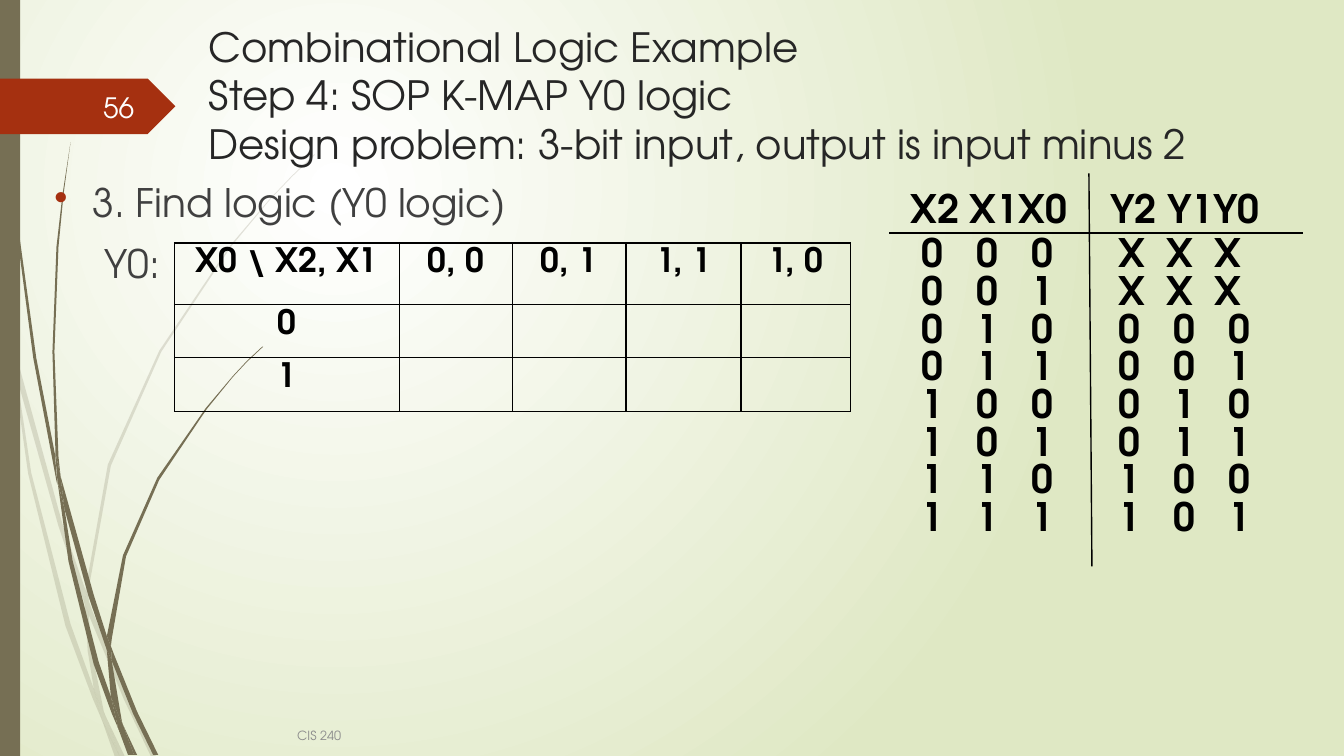
import pptx
import pptx.dml.color
import pptx.enum.shapes
import pptx.enum.text
import pptx.oxml
import pptx.oxml.ns
import pptx.util

inch = pptx.util.Inches
point = pptx.util.Pt
align = pptx.enum.text.PP_ALIGN
anchor = pptx.enum.text.MSO_ANCHOR
preset = pptx.enum.shapes.MSO_SHAPE
qn = pptx.oxml.ns.qn
space = pptx.oxml.ns.nsdecls("a")
FONT = "TeX Gyre Adventor"
OLIVE, RUST, BLACK = "766F54", "A53010", "000000"


def hue(code):
    return pptx.dml.color.RGBColor.from_string(code)


def write(par, text, size, tone, bold=False):
    """Add one formatted run to a paragraph."""
    run = par.add_run()
    run.text = text
    run.font.name = FONT
    run.font.size = point(size)
    run.font.bold = bold
    run.font.color.rgb = hue(tone)


deck = pptx.Presentation()
deck.slide_width, deck.slide_height = inch(13.33), inch(7.5)
page = deck.slides.add_slide(deck.slide_layouts[5])

# Background: light centre in the upper left
fill = page.background.fill
fill.gradient()
for stop, tone in zip(fill.gradient_stops, ("FFFFFF", "DFE8C4")):
    stop.color.rgb = hue(tone)
grad = page._element.find(".//" + qn("a:gradFill"))
grad.remove(grad.find(qn("a:lin")))
grad.append(pptx.oxml.parse_xml(
    f'<a:path {space} path="circle"><a:fillToRect l="50000" t="50000" '
    'r="100000" b="100000"/></a:path>'))

# Grass blades: outlines in hundredths of an inch
pale = (
    "11,350 9,322 0,282 0,299 10,344",
    "58,522 84,599 85,586 62,520 14,345 17,376",
    "92,607 88,596 88,610 123,694 150,751 155,751 127,692",
    "119,751 124,751 105,711",
    "93,683 70,619 31,469 17,376 11,350 28,470 65,621 92,693 101,714 99,707",
    "84,599 87,646 93,683 96,692 105,711 103,706 91,646 88,610 88,608",
    "88,584 110,462 160,349 229,245 268,198 290,175 312,154 312,153 289,175 "
    "268,197 228,244 158,348 107,461 85,584 85,586 88,596",
    "101,714 114,751 119,751",
    "88,608 88,610 88,596 85,586 84,599",
    "96,692 93,683 99,707 101,714 119,751 105,711",
)
dark = (
    "7,110 17,233 33,355 56,477 57,481 55,457 55,453 36,355 19,232 8,109 "
    "5,48 4,0 3,0 4,48",
    "88,592 106,645 106,633 106,631 93,590 60,472 64,505",
    "113,649 110,641 111,656 132,708 152,749 157,749 136,706",
    "110,691 98,657 72,556 64,505 57,477 68,557 93,659 111,708 117,722 116,717",
    "60,472 58,453 54,349 58,245 63,193 70,141 62,193 56,245 52,349 55,449",
    "133,749 136,749 122,719",
    "57,477 64,505 60,472 55,449 55,453",
    "111,633 125,552 158,476 205,406 231,374 245,359 261,344 260,344 245,358 "
    "231,373 204,405 156,474 122,551 106,631 110,641",
    "117,722 127,749 131,749",
    "106,645 110,691 116,706 122,719 121,716 111,656 109,651",
    "106,645 109,651 111,656 110,641 106,631 106,633",
    "116,706 110,691 116,717 117,722 130,749 133,749 122,719",
)
for blades, alpha in ((pale, 20), (dark, 100)):
    tuft = page.shapes.add_group_shape()
    for blade in blades:
        dots = [tuple(map(int, dot.split(","))) for dot in blade.split()]
        pen = tuft.shapes.build_freeform(*dots[0], scale=inch(0.01))
        pen.add_line_segments(dots[1:], close=True)
        leaf = pen.convert_to_shape()
        leaf.shadow.inherit = False
        leaf.line.fill.background()
        leaf.fill.solid()
        leaf.fill.fore_color.rgb = hue(OLIVE)
        if alpha < 100:
            leaf._element.spPr.find(".//" + qn("a:srgbClr")).append(
                pptx.oxml.parse_xml(f'<a:alpha {space} val="{alpha * 1000}"/>'))

# Side bar and page number flag
for kind, top, width, height, tone in (
        (preset.RECTANGLE, 0, 0.2, 7.5, OLIVE),
        (preset.PENTAGON, 0.78, 1.74, 0.55, RUST)):
    band = page.shapes.add_shape(kind, 0, inch(top), inch(width), inch(height))
    band.shadow.inherit = False
    band.line.fill.background()
    band.fill.solid()
    band.fill.fore_color.rgb = hue(tone)

# Title, in front of the grass
title = page.shapes.title
title._element.getparent().append(title._element)
title.left, title.top = inch(1.97), inch(0.17)
title.width, title.height = inch(10.95), inch(1.4)
frame = title.text_frame
frame.word_wrap = True
frame.auto_size = pptx.enum.text.MSO_AUTO_SIZE.NONE
frame.vertical_anchor = anchor.TOP
par = frame.paragraphs[0]
par.alignment = align.LEFT
for row, text in enumerate((
        "Combinational Logic Example",
        "Step 4: SOP K-MAP Y0 logic",
        "Design problem: 3-bit input, output is input minus 2")):
    if row:
        par.add_line_break()
    write(par, text, 28.8, "262626")

# Text boxes: place, left inset, anchor
frames = {}
for name, place, inset, hold in (
        ("body", (0.44, 1.72, 12.54, 5.5), 0.1, anchor.TOP),
        ("foot", (2.85, 7.1, 8.33, 0.4), 0.1, anchor.MIDDLE),
        ("number", (0.58, 0.86, 0.85, 0.4), 0.1, anchor.MIDDLE),
        ("head", (8.59, 1.78, 4.26, 0.57), 0.44, anchor.TOP),
        ("truth", (8.5, 2.31, 4.8, 3.36), 0.64, anchor.TOP)):
    frame = page.shapes.add_textbox(*map(inch, place)).text_frame
    frame.word_wrap = True
    frame.margin_left = inch(inset)
    frame.vertical_anchor = hold
    frames[name] = frame

par = frames["body"].paragraphs[0]
props = par._p.get_or_add_pPr()
props.set("marL", str(inch(0.38)))
props.set("indent", str(-inch(0.38)))
for mark in (f'<a:buClr {space}><a:srgbClr val="{RUST}"/></a:buClr>',
             f'<a:buChar {space} char="•"/>'):
    props.append(pptx.oxml.parse_xml(mark))
write(par, "3. Find logic (Y0 logic)", 28, "404040")
par = frames["body"].add_paragraph()
par._p.get_or_add_pPr().set("marL", str(inch(0.5)))
par.space_before = point(10)
write(par, "Y0:", 28, "404040")

write(frames["foot"].paragraphs[0], "CIS 240", 9, "8C8C8C")
par = frames["number"].paragraphs[0]
par.alignment = align.RIGHT
write(par, "56", 20, "FEFFFF")

# Truth table: inputs 0 to 7, output is input minus 2
lines = [(frames["head"].paragraphs[0], "X2 X1X0\tY2 Y1Y0", [1.98])]
for value in range(8):
    par = frames["truth"].paragraphs[0] if value == 0 else frames["truth"].add_paragraph()
    par.line_spacing = 0.8
    result = "XXX" if value < 2 else f"{value - 2:03b}"
    step = 0.48 if value < 2 else 0.545
    stops = [0.545, 1.09] + [1.95 + step * col for col in range(3)]
    lines.append((par, "\t".join(f"{value:03b}" + result), stops))
for par, text, stops in lines:
    tabs = "".join(f'<a:tab pos="{inch(stop)}" algn="l"/>' for stop in stops)
    par._p.get_or_add_pPr().append(
        pptx.oxml.parse_xml(f"<a:tabLst {space}>{tabs}</a:tabLst>"))
    write(par, text, 28, BLACK, True)

for ends in ((8.82, 2.31, 12.92, 2.31), (10.8, 1.72, 10.83, 5.62)):
    rule = page.shapes.add_connector(
        pptx.enum.shapes.MSO_CONNECTOR.STRAIGHT, *map(inch, ends))
    rule.line.color.rgb = hue(BLACK)
    rule.line.width = point(1)
    rule._element.spPr.append(pptx.oxml.parse_xml(f"<a:effectLst {space}/>"))

# Karnaugh map
wide, high = (2.23, 1.12, 1.13, 1.14, 1.09), (0.61, 0.53, 0.53)
grid = (("X0 \\ X2, X1", "0, 0", "0, 1", "1, 1", "1, 0"),
        ("0", "", "", "", ""),
        ("1", "", "", "", ""))
kmap = page.shapes.add_table(3, 5, inch(1.73), inch(2.41),
                             inch(sum(wide)), inch(sum(high))).table
kmap.first_row = kmap.horz_banding = False
for col, width in zip(kmap.columns, wide):
    col.width = inch(width)
for row, height, texts in zip(kmap.rows, high, grid):
    row.height = inch(height)
    for cell, text in zip(row.cells, texts):
        props = cell._tc.get_or_add_tcPr()
        for side in "LRTB":
            props.append(pptx.oxml.parse_xml(
                f'<a:ln{side} {space} w="{point(1)}"><a:solidFill>'
                f'<a:srgbClr val="{BLACK}"/></a:solidFill></a:ln{side}>'))
        cell.fill.background()
        if text:
            par = cell.text_frame.paragraphs[0]
            par.alignment = align.CENTER
            write(par, text, 24, BLACK, True)

deck.save("out.pptx")
